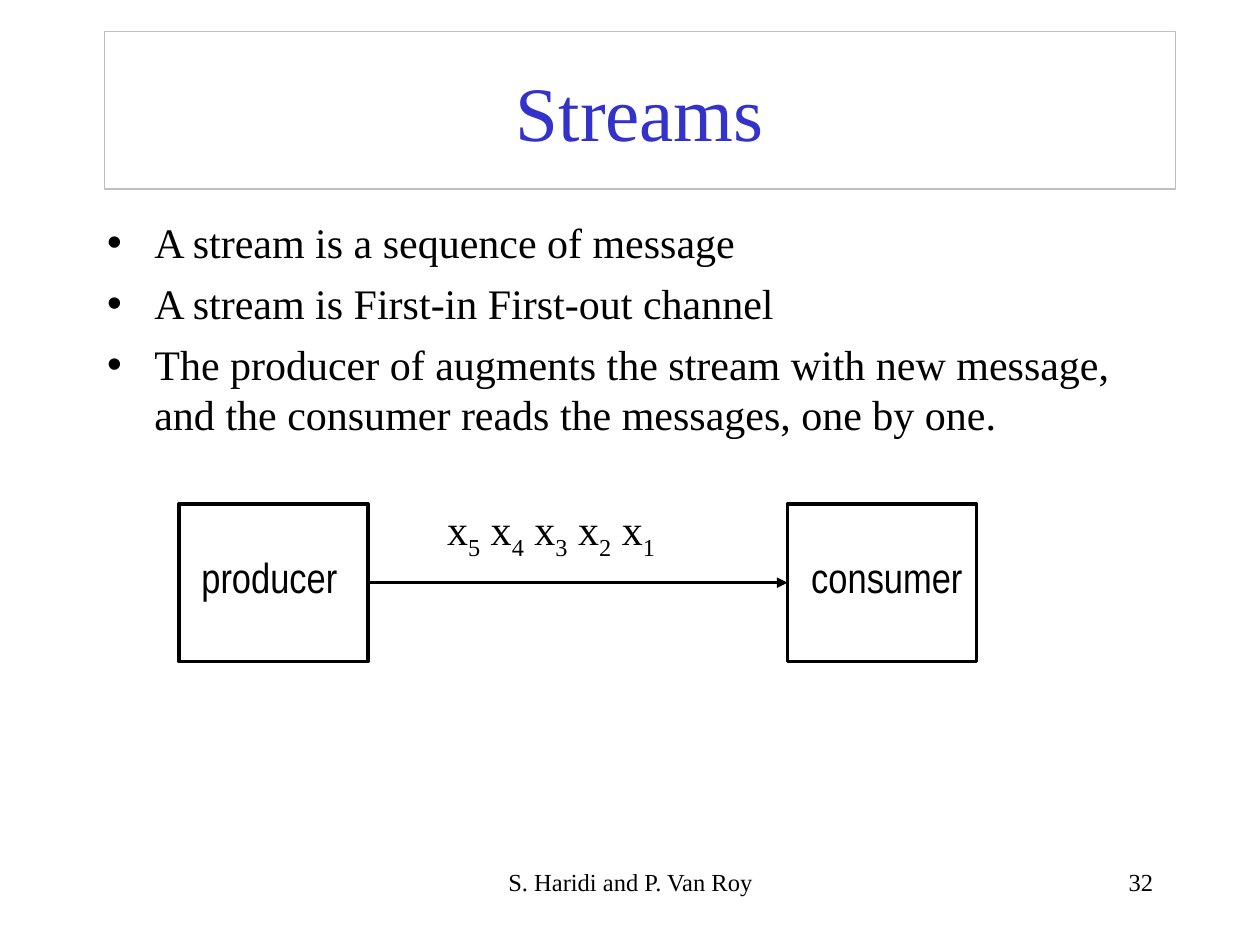
"""Build the Streams slide: three bullets above a producer-consumer diagram."""
from pptx import Presentation, util as u
from pptx.dml.color import RGBColor
from pptx.enum import shapes, text
from pptx.oxml.ns import qn
from lxml import etree

BLACK = RGBColor(0x00, 0x00, 0x00)
BLUE = RGBColor(0x33, 0x33, 0xCC)
GREY = RGBColor(0xC0, 0xC0, 0xC0)
SERIF = "Times New Roman"
NARROW = "Arial Narrow"
BULLETS = [
    "A stream is a sequence of message",
    "A stream is First-in First-out channel",
    "The producer of augments the stream with new message, "
    "and the consumer reads the messages, one by one.",
]


def place(sp, left, top, width, height):
    """Move and size a shape, in inches."""
    sp.left, sp.top = u.Inches(left), u.Inches(top)
    sp.width, sp.height = u.Inches(width), u.Inches(height)


def style(p, size, name=SERIF, color=BLACK, align=text.PP_ALIGN.LEFT):
    """Set the font and alignment of a paragraph."""
    p.font.size, p.font.name = u.Pt(size), name
    p.font.color.rgb = color
    p.alignment = align


def add_title(slide, title):
    """Fill the title placeholder and frame it in grey."""
    sp = slide.shapes.title
    place(sp, 0.83, 0.25, 8.5, 1.25)
    sp.line.color.rgb, sp.line.width = GREY, u.Pt(0.75)
    tf = sp.text_frame
    tf.text = title
    tf.auto_size = text.MSO_AUTO_SIZE.NONE
    tf.vertical_anchor = text.MSO_ANCHOR.MIDDLE
    style(tf.paragraphs[0], 44, color=BLUE, align=text.PP_ALIGN.CENTER)


def add_bullets(slide, items):
    """Fill the body placeholder with one bullet per item."""
    sp = slide.placeholders[1]
    place(sp, 0.75, 1.67, 8.5, 5)
    tf = sp.text_frame
    tf.text = "\n".join(items)
    tf.auto_size = text.MSO_AUTO_SIZE.NONE
    for p in tf.paragraphs:
        style(p, 24)
        p.space_before = u.Pt(6)


def add_text(slide, box, content, size, wrap=True, **font):
    """Add a one-paragraph text box and return its paragraph."""
    tf = slide.shapes.add_textbox(*map(u.Inches, box)).text_frame
    tf.word_wrap = wrap
    p = tf.paragraphs[0]
    p.text = content
    style(p, size, **font)
    return p


def add_box(slide, left):
    """Add an unfilled black-outlined box of the diagram."""
    sp = slide.shapes.add_shape(
        shapes.MSO_SHAPE.RECTANGLE, *map(u.Inches, (left, 4, 1.5, 1.25)))
    sp.shadow.inherit = False
    sp.fill.background()
    sp.line.color.rgb, sp.line.width = BLACK, u.Pt(2)
    return sp


def add_arrow(slide, source, target):
    """Join the right side of source to the left side of target."""
    cxn = slide.shapes.add_connector(shapes.MSO_CONNECTOR.STRAIGHT, 0, 0, 0, 0)
    cxn.begin_connect(source, 3)
    cxn.end_connect(target, 1)
    cxn.line.color.rgb, cxn.line.width = BLACK, u.Pt(2)
    etree.SubElement(cxn.line._get_or_add_ln(), qn("a:tailEnd"), type="triangle")
    etree.SubElement(cxn._element.spPr, qn("a:effectLst"))


def add_messages(slide, count):
    """Add the stream x5 to x1 with subscript indices."""
    p = add_text(slide, (3.45, 3.95, 1.85, 0.56), "", 24, wrap=False)
    for i in range(count, 0, -1):
        p.add_run().text = "x" if i == count else " x"
        r = p.add_run()
        r.text = str(i)
        r.font._element.set("baseline", "-25000")


def main():
    """Build and save the slide."""
    prs = Presentation()
    prs.slide_width, prs.slide_height = u.Inches(10), u.Inches(7.5)
    slide = prs.slides.add_slide(prs.slide_layouts[1])
    add_title(slide, "Streams")
    add_bullets(slide, BULLETS)
    producer, consumer = add_box(slide, 1.42), add_box(slide, 6.25)
    add_arrow(slide, producer, consumer)
    add_messages(slide, 5)
    add_text(slide, (1.5, 4.33, 1.28, 0.5), "producer", 24, wrap=False, name=NARROW)
    add_text(slide, (6.34, 4.33, 1.4, 0.5), "consumer", 24, wrap=False, name=NARROW)
    add_text(slide, (3.42, 6.83, 3.17, 0.5), "S. Haridi and P. Van Roy", 14,
             align=text.PP_ALIGN.CENTER)
    add_text(slide, (7.17, 6.83, 2.08, 0.5), "32", 14, align=text.PP_ALIGN.RIGHT)
    prs.save("out.pptx")


if __name__ == "__main__":
    main()
